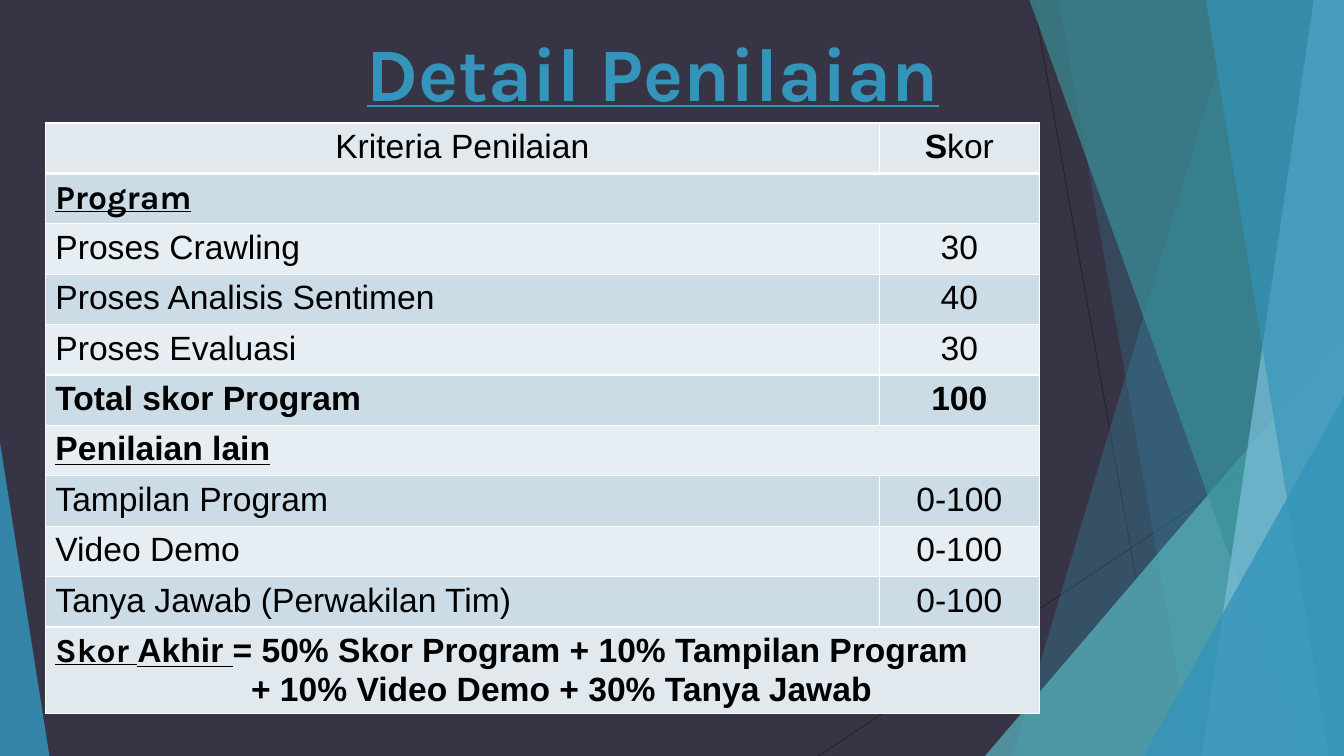
from lxml import etree
from pptx import Presentation
from pptx.dml.color import RGBColor
from pptx.enum.shapes import MSO_CONNECTOR, MSO_SHAPE
from pptx.enum.text import MSO_ANCHOR, PP_ALIGN
from pptx.oxml.ns import qn
from pptx.util import Inches, Pt

CENTER, LEFT = PP_ALIGN.CENTER, PP_ALIGN.LEFT
MIDDLE = MSO_ANCHOR.MIDDLE
STRAIGHT = MSO_CONNECTOR.STRAIGHT
TRIANGLE = MSO_SHAPE.ISOSCELES_TRIANGLE

WIDTH, HEIGHT = 13.33, 7.5
ACCENT = "3494BA"
WHITE = "FFFFFF"
ENDS_FILL, ODD_FILL, EVEN_FILL = "E1E9EF", "CCDCE6", "E7EEF3"
ROW_HEIGHT, FORMULA_HEIGHT = 0.5, 0.86
FORMULA_INDENT = 1.94

HEADING = {"bold": True, "underline": True}
CRITERIA = [
    ("Program", None, HEADING | {"font": "Karla"}),
    ("Proses Crawling", "30", {}),
    ("Proses Analisis Sentimen", "40", {}),
    ("Proses Evaluasi", "30", {}),
    ("Total skor Program", "100", {"bold": True}),
    ("Penilaian lain", None, HEADING),
    ("Tampilan Program", "0-100", {}),
    ("Video Demo", "0-100", {}),
    ("Tanya Jawab (Perwakilan Tim)", "0-100", {}),
]


def rgb(value):
    """Turn a hex string into a colour."""
    return RGBColor.from_string(value)


def write(paragraph, text, font="Arial", size=24, color="000000",
          bold=False, underline=False, align=LEFT):
    """Append formatted text to a paragraph."""
    paragraph.alignment = align
    run = paragraph.add_run()
    run.text = text
    run.font.name = font
    run.font.size = Pt(size)
    run.font.bold = bold
    run.font.underline = underline
    run.font.color.rgb = rgb(color)


def paint(shape, color, opacity):
    """Give a shape a translucent fill without outline or shadow."""
    shape.shadow.inherit = False
    shape.line.fill.background()
    shape.fill.solid()
    shape.fill.fore_color.rgb = rgb(color)
    fill_color = shape.fill._xPr.find(qn("a:solidFill"))[0]
    etree.SubElement(fill_color, qn("a:alpha"), val=str(opacity * 1000))


def add_ray(slide, start, end):
    """Draw a thin dark line between two points."""
    ray = slide.shapes.add_connector(STRAIGHT, *map(Inches, start + end))
    ray.line.color.rgb = rgb("262626")
    ray.line.width = Pt(0.75)
    etree.SubElement(ray._element.spPr, qn("a:effectLst"))


def add_facet(slide, top_x, bottom_x, color, opacity):
    """Fill the area from a slanted edge to the right side of the slide."""
    corners = [(WIDTH, 0), (WIDTH, HEIGHT), (bottom_x, HEIGHT)]
    builder = slide.shapes.build_freeform(Inches(top_x), 0)
    builder.add_line_segments([(Inches(x), Inches(y)) for x, y in corners])
    paint(builder.convert_to_shape(), color, opacity)


def add_corner(slide, left, width, height, apex, color, opacity):
    """Stand a right triangle on the bottom edge of the slide."""
    corner = slide.shapes.add_shape(
        TRIANGLE, Inches(left), Inches(HEIGHT - height), Inches(width), Inches(height))
    corner.adjustments[0] = apex
    paint(corner, color, opacity)


def add_backdrop(slide):
    """Set the dark background and layer the angular decoration."""
    slide.background.fill.solid()
    slide.background.fill.fore_color.rgb = rgb("373545")
    add_ray(slide, (10.25, 0), (11.58, HEIGHT))
    add_ray(slide, (WIDTH, 4.03), (8.12, HEIGHT))
    add_facet(slide, 12.28, 10.04, ACCENT, 29)
    add_facet(slide, 10.5, 11.83, ACCENT, 20)
    add_corner(slide, 9.77, 3.56, 4.17, 1, "58B6C0", 71)
    add_facet(slide, 10.21, 12.91, "398F98", 69)
    add_facet(slide, 13.03, 11.92, "7EC0DB", 69)
    add_facet(slide, 11.96, 13.18, ACCENT, 64)
    add_corner(slide, 11.34, 1.99, 3.57, 1, ACCENT, 80)
    add_corner(slide, 0, 0.49, 3.11, 0, ACCENT, 84)


def add_title(slide, left, top, width, height):
    """Place and format the slide title."""
    title = slide.shapes.title
    title.left, title.top = Inches(left), Inches(top)
    title.width, title.height = Inches(width), Inches(height)
    title.text_frame.vertical_anchor = MIDDLE
    write(title.text_frame.paragraphs[0], "Detail Penilaian", font="Karla", size=54,
          color=ACCENT, bold=True, underline=True, align=CENTER)


def style_cell(cell, fill, top=1, bottom=1):
    """Give a cell white borders and a solid fill."""
    properties = cell._tc.get_or_add_tcPr()
    for side, points in (("L", 1), ("R", 1), ("T", top), ("B", bottom)):
        border = etree.SubElement(properties, qn(f"a:ln{side}"), w=str(Pt(points)))
        solid = etree.SubElement(border, qn("a:solidFill"))
        etree.SubElement(solid, qn("a:srgbClr"), val=WHITE)
    cell.fill.solid()
    cell.fill.fore_color.rgb = rgb(fill)


def write_formula(frame):
    """Write the final score formula on two lines."""
    first = frame.paragraphs[0]
    write(first, "Skor ", font="Karla", **HEADING)
    write(first, "Akhir ", **HEADING)
    write(first, "= 50% Skor Program + 10% Tampilan Program", bold=True)
    second = frame.add_paragraph()
    write(second, "+ 10% Video Demo + 30% Tanya Jawab", bold=True)
    second._p.get_or_add_pPr().set("marL", str(Inches(FORMULA_INDENT)))


def add_scores(slide, left, top, column_widths):
    """Build the table of criteria and scores."""
    heights = [ROW_HEIGHT] * (len(CRITERIA) + 1) + [FORMULA_HEIGHT]
    last = len(heights) - 1
    table = slide.shapes.add_table(
        len(heights), len(column_widths), Inches(left), Inches(top),
        Inches(sum(column_widths)), Inches(sum(heights))).table
    table.first_row = table.horz_banding = False
    for column, width in zip(table.columns, column_widths):
        column.width = Inches(width)
    for index, height in enumerate(heights):
        table.rows[index].height = Inches(height)
        fill = ENDS_FILL if index in (0, last) else ODD_FILL if index % 2 else EVEN_FILL
        for cell in table.rows[index].cells:
            style_cell(cell, fill, top=3 if index == 1 else 1, bottom=3 if index == 0 else 1)

    write(table.cell(0, 0).text_frame.paragraphs[0], "Kriteria Penilaian", align=CENTER)
    score_heading = table.cell(0, 1).text_frame.paragraphs[0]
    write(score_heading, "S", bold=True, align=CENTER)
    write(score_heading, "kor", align=CENTER)
    for index, (criterion, score, style) in enumerate(CRITERIA, start=1):
        name_cell, score_cell = table.rows[index].cells
        write(name_cell.text_frame.paragraphs[0], criterion, **style)
        if score is None:
            name_cell.merge(score_cell)
        else:
            write(score_cell.text_frame.paragraphs[0], score, align=CENTER, **style)
    formula = table.cell(last, 0)
    formula.merge(table.cell(last, 1))
    write_formula(formula.text_frame)


def main():
    """Build and save the presentation."""
    presentation = Presentation()
    presentation.slide_width, presentation.slide_height = Inches(WIDTH), Inches(HEIGHT)
    slide = presentation.slides.add_slide(presentation.slide_layouts[5])
    add_backdrop(slide)
    add_title(slide, 0.81, 0.12, 11.33, 1.17)
    add_scores(slide, 0.45, 1.22, (8.27, 1.59))
    presentation.save("out.pptx")


if __name__ == "__main__":
    main()
